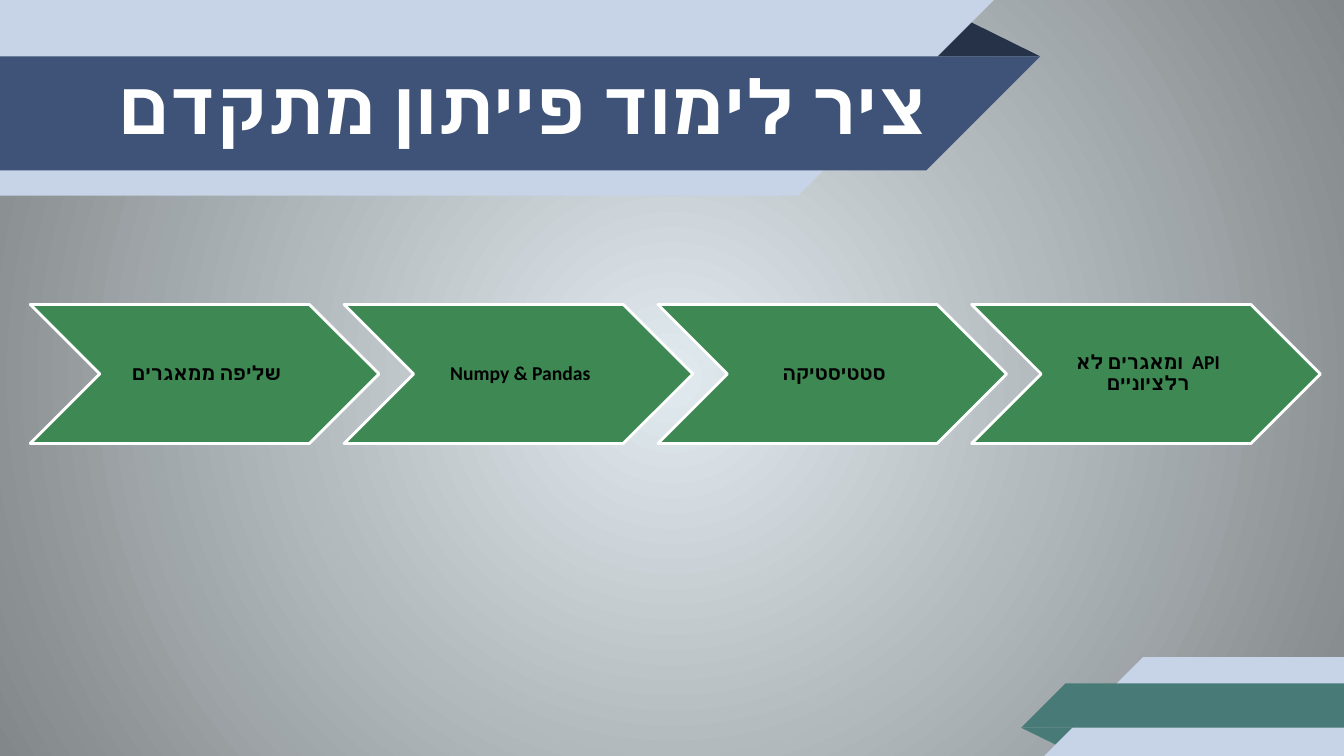
from lxml.etree import SubElement
from pptx import Presentation
from pptx.dml.color import RGBColor
from pptx.enum.shapes import MSO_SHAPE as Preset
from pptx.enum.text import MSO_ANCHOR as Anchor, MSO_AUTO_SIZE as AutoSize, PP_ALIGN as Align
from pptx.oxml.ns import qn
from pptx.util import Inches, Pt

WHITE = RGBColor(0xFF, 0xFF, 0xFF)
BLACK = RGBColor(0x00, 0x00, 0x00)
ICE = RGBColor(0xE1, 0xEA, 0xEF)
STEEL = RGBColor(0x82, 0x87, 0x89)
PALE_BLUE = RGBColor(0xC7, 0xD3, 0xE6)
NAVY = RGBColor(0x3F, 0x53, 0x78)
DARK_NAVY = RGBColor(0x26, 0x32, 0x48)
TEAL = RGBColor(0x48, 0x7B, 0x78)
GREEN = RGBColor(0x3E, 0x88, 0x53)

deck = Presentation()
deck.slide_width, deck.slide_height = Inches(13.33), Inches(7.5)
COL, ROW = deck.slide_width / 100, deck.slide_height / 100
slide = deck.slides.add_slide(deck.slide_layouts[5])


def place(part, left, top, width, height):
    part.left, part.width = int(left * COL), int(width * COL)
    part.top, part.height = int(top * ROW), int(height * ROW)


def write_hebrew(frame, text, size, color):
    frame.word_wrap = True
    frame.auto_size = AutoSize.NONE
    frame.vertical_anchor = Anchor.MIDDLE
    paragraph = frame.paragraphs[0]
    paragraph.text = text
    paragraph.alignment = Align.CENTER
    paragraph.line_spacing = 0.9
    paragraph.font.size = Pt(size)
    paragraph.font.bold = True
    paragraph.font.name = "Calibri"
    paragraph.font.color.rgb = color
    properties = paragraph._p.get_or_add_pPr()
    properties.set("rtl", "1")
    SubElement(properties.find(qn("a:defRPr")), qn("a:cs"), typeface="Calibri")


backdrop = slide.background.fill
backdrop.gradient()
for stop, color in zip(backdrop.gradient_stops, (ICE, STEEL)):
    stop.color.rgb = color
gradient = slide._element.find(".//" + qn("a:gradFill"))
gradient.remove(gradient.find(qn("a:lin")))
glow = SubElement(gradient, qn("a:path"), {"path": "circle"})
SubElement(glow, qn("a:fillToRect"), dict.fromkeys("ltrb", "50000"))

ribbons = [
    (DARK_NAVY, [(68.85, 7.47), (71.63, 2.4), (77.4, 7.47)]),
    (PALE_BLUE, [(0, 0), (73.95, 0), (59.4, 25.87), (0, 25.87)]),
    (NAVY, [(0, 7.47), (77.4, 7.47), (68.93, 22.53), (0, 22.53)]),
    (TEAL, [(75.98, 96.27), (80.25, 96.27), (78.9, 98.8)]),
    (PALE_BLUE, [(85.05, 86.93), (100, 86.93), (100, 100), (77.7, 100)]),
    (TEAL, [(79.28, 90.4), (100, 90.4), (100, 96.27), (75.98, 96.27)]),
]
for color, corners in ribbons:
    points = [(x * COL, y * ROW) for x, y in corners]
    outline = slide.shapes.build_freeform(*points[0])
    outline.add_line_segments(points[1:])
    ribbon = outline.convert_to_shape()
    ribbon.shadow.inherit = False
    ribbon.fill.solid()
    ribbon.fill.fore_color.rgb = color
    ribbon.line.fill.background()

title = slide.shapes.title
place(title, 2.18, 7.07, 73.58, 14.93)
write_hebrew(title.text_frame, "ציר לימוד פייתון מתקדם", 53.3, WHITE)
slide.shapes._spTree.append(title._element)

stages = ["שליפה ממאגרים", "Numpy & Pandas", "סטטיסטיקה", "API  ומאגרים לא רלציוניים"]
FIRST_STAGE, STAGE_PITCH = 2.25, 23.35
for index, stage in enumerate(stages):
    chevron = slide.shapes.add_shape(Preset.CHEVRON, 0, 0, 0, 0)
    place(chevron, FIRST_STAGE + index * STAGE_PITCH, 40.27, 25.95, 18.4)
    chevron.shadow.inherit = False
    chevron.fill.solid()
    chevron.fill.fore_color.rgb = GREEN
    chevron.line.color.rgb = WHITE
    chevron.line.width = Pt(2)
    label = chevron.text_frame
    label.margin_left = Inches(0.06)
    label.margin_right = label.margin_top = label.margin_bottom = Inches(0.02)
    write_hebrew(label, stage, 14, BLACK)

deck.save("out.pptx")
